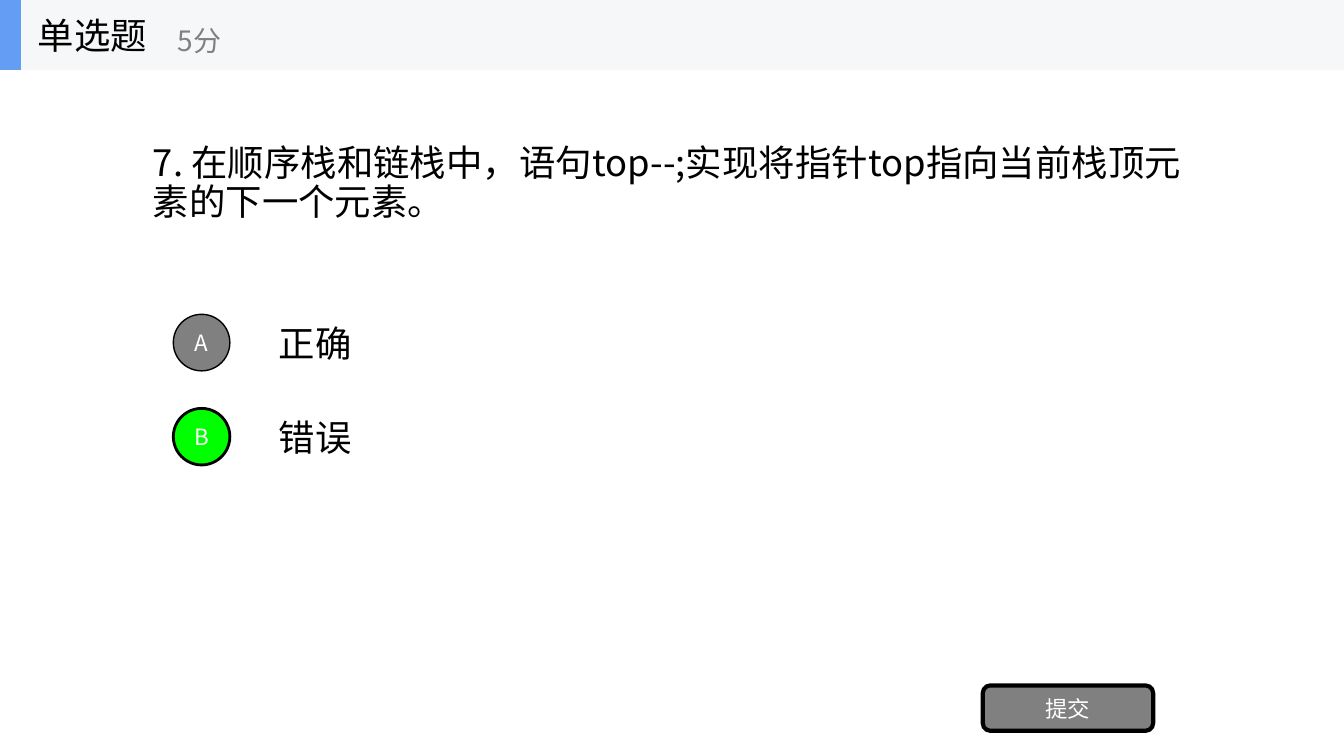
from dataclasses import dataclass

from lxml.etree import SubElement
from pptx import Presentation
from pptx.dml.color import RGBColor
from pptx.enum.shapes import MSO_SHAPE
from pptx.enum.text import MSO_ANCHOR, MSO_AUTO_SIZE, PP_ALIGN
from pptx.oxml.ns import qn
from pptx.util import Pt


@dataclass(frozen=True)
class Theme:
    font: str = "Noto Sans CJK SC"
    ink: str = "000000"
    white: str = "FFFFFF"
    gray: str = "808080"
    correct: str = "00FF00"
    band: str = "F6F7F8"
    accent: str = "639EF4"
    body: int = 26
    score: int = 20
    button: int = 16


class QuizSlide:
    def __init__(self, prs, theme):
        self.theme = theme
        self.s = prs.slides.add_slide(prs.slide_layouts[5])

    def set_text(self, sp, text, size, color, align=PP_ALIGN.LEFT, wrap=True):
        tf = sp.text_frame
        tf.word_wrap = wrap
        tf.auto_size = MSO_AUTO_SIZE.NONE
        tf.vertical_anchor = MSO_ANCHOR.MIDDLE
        p = tf.paragraphs[0]
        p.text = text
        p.alignment = align
        font = p.font
        font.size = Pt(size)
        font.color.rgb = RGBColor.from_string(color)
        font.name = self.theme.font
        SubElement(font._element, qn("a:ea"), typeface=self.theme.font)
        return p

    def question(self, text, x, y, w, h):
        sp = self.s.shapes.title
        sp.left, sp.top, sp.width, sp.height = Pt(x), Pt(y), Pt(w), Pt(h)
        p = self.set_text(sp, text, self.theme.body, self.theme.ink)
        p.line_spacing = 0.9

    def label(self, text, x, y, w, h, size, color, wrap=True):
        sp = self.s.shapes.add_textbox(Pt(x), Pt(y), Pt(w), Pt(h))
        self.set_text(sp, text, size, color, wrap=wrap)

    def block(self, kind, x, y, w, h, fill):
        sp = self.s.shapes.add_shape(kind, Pt(x), Pt(y), Pt(w), Pt(h))
        sp.shadow.inherit = False
        sp.fill.solid()
        sp.fill.fore_color.rgb = RGBColor.from_string(fill)
        sp.line.fill.background()
        return sp

    def button(self, kind, text, x, y, w, h, fill, border):
        sp = self.block(kind, x, y, w, h, fill)
        sp.line.color.rgb = RGBColor.from_string(self.theme.ink)
        sp.line.width = Pt(border)
        self.set_text(sp, text, self.theme.button, self.theme.white, PP_ALIGN.CENTER)


def main():
    theme = Theme()
    prs = Presentation()
    prs.slide_width, prs.slide_height = Pt(960), Pt(540)
    quiz = QuizSlide(prs, theme)

    quiz.question(
        "7. 在顺序栈和链栈中，语句top--;实现将指针top指向当前栈顶元素的下一个元素。",
        102, 47.5, 768, 168.5,
    )

    options = [
        ("A", "正确", theme.gray, 1),
        ("B", "错误", theme.correct, 2),
    ]
    for i, (letter, answer, fill, border) in enumerate(options):
        y = 219.5 + i * 67.2
        quiz.label(answer, 192, y, 672, 50.4, theme.body, theme.ink)
        quiz.button(MSO_SHAPE.OVAL, letter, 123.8, y + 5, 40.4, 40.4, fill, border)

    quiz.button(MSO_SHAPE.ROUNDED_RECTANGLE, "提交", 702, 489.6, 121.7, 32.4, theme.gray, 3)

    quiz.block(MSO_SHAPE.RECTANGLE, 0, 0, 960, 50, theme.band)
    quiz.block(MSO_SHAPE.RECTANGLE, 0, 0, 15, 50, theme.accent)
    quiz.label("单选题", 20, 0, 150, 50, theme.body, theme.ink, wrap=False)
    quiz.label("5分", 120, 8.6, 180, 40.3, theme.score, theme.gray, wrap=False)

    prs.save("out.pptx")


if __name__ == "__main__":
    main()
